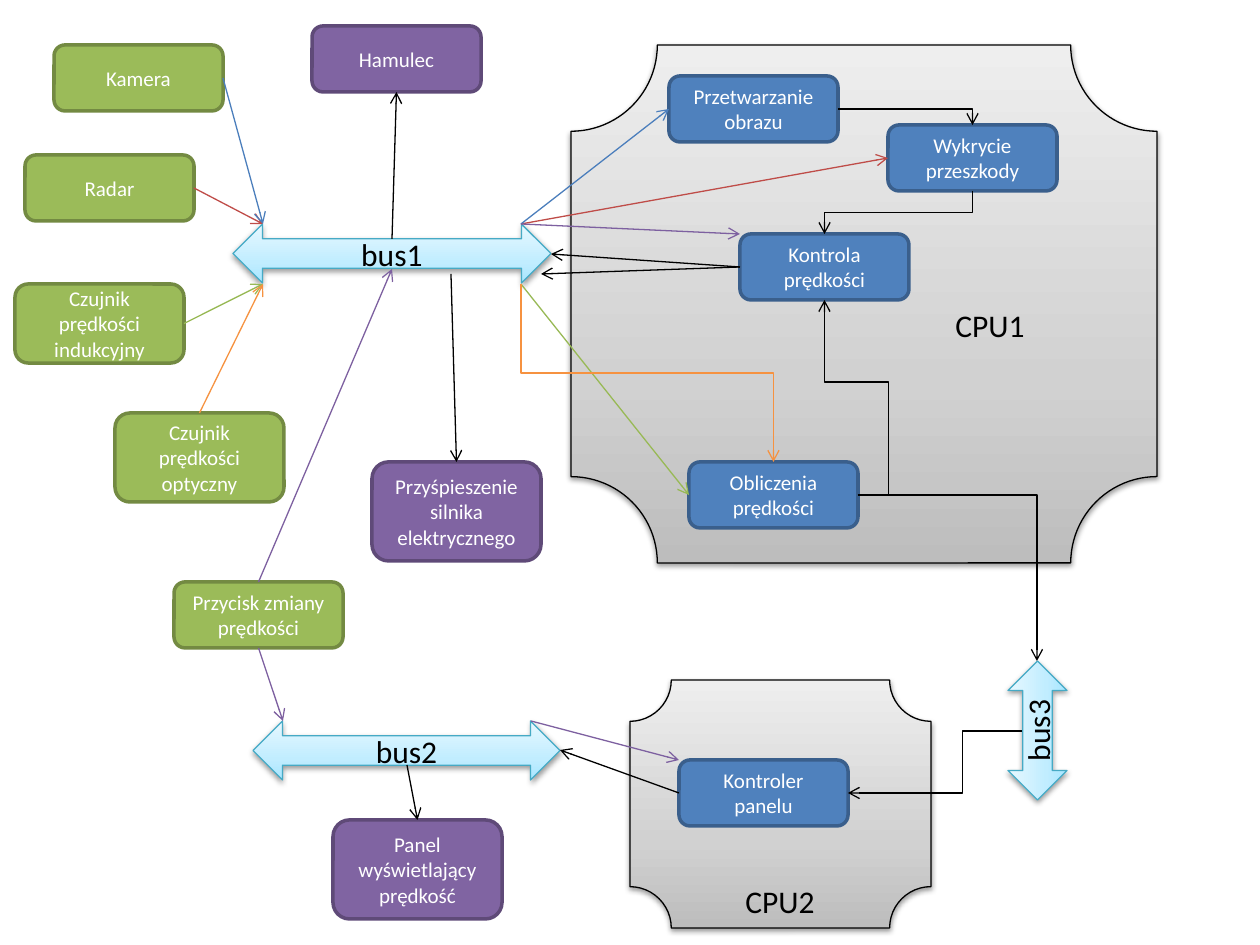
from lxml import etree
from pptx import Presentation
from pptx.dml.color import RGBColor
from pptx.enum.shapes import MSO_CONNECTOR, MSO_SHAPE
from pptx.enum.text import MSO_ANCHOR, PP_ALIGN
from pptx.oxml import parse_xml
from pptx.oxml.ns import nsdecls, qn
from pptx.util import Emu, Pt

ROUND, PLAQUE, ARROW = MSO_SHAPE.ROUNDED_RECTANGLE, MSO_SHAPE.PLAQUE, MSO_SHAPE.LEFT_RIGHT_ARROW
STRAIGHT, ELBOW = MSO_CONNECTOR.STRAIGHT, MSO_CONNECTOR.ELBOW
MIDDLE, CENTER = MSO_ANCHOR.MIDDLE, PP_ALIGN.CENTER
TOP, LEFT, BOTTOM, RIGHT = range(4)

FONT = "Calibri"
BOX_W, BOX_H, BUS_H = 169, 66, 59
COLORS = {
    "white": "FFFFFF", "black": "000000", "bus_line": "46AAC5",
    "sensor": "9BBB59", "sensor_line": "738A42",
    "task": "4F81BD", "task_line": "3A5F8C",
    "output": "8064A2", "output_line": "5F4A78",
    "red": "BF4C48", "blue": "4B7EBC", "green": "98B955",
    "orange": "F69240", "purple": "7D60A0",
}
GRADIENTS = {
    "cpu": ((0, "BDBDBD"), (35, "D1D1D1"), (100, "EEEEEE")),
    "bus": ((0, "A7E6FF"), (35, "C1EDFF"), (100, "E7F8FF")),
}

# name: (left, top, height, kind, text)
BOXES = {
    "induction": (15, 284, 79, "sensor", "Czujnik prędkości indukcyjny"),
    "camera": (54, 45, BOX_H, "sensor", "Kamera"),
    "radar": (25, 155, BOX_H, "sensor", "Radar"),
    "button": (174, 582, BOX_H, "sensor", "Przycisk zmiany prędkości"),
    "obstacle": (888, 125, BOX_H, "task", "Wykrycie przeszkody"),
    "control": (740, 234, BOX_H, "task", "Kontrola prędkości"),
    "brake": (312, 26, BOX_H, "output", "Hamulec"),
    "engine": (372, 462, 99, "output", "Przyśpieszenie silnika elektrycznego"),
    "display": (333, 820, 99, "output", "Panel wyświetlający prędkość"),
    "speed": (689, 462, BOX_H, "task", "Obliczenia prędkości"),
    "optical": (115, 413, 89, "sensor", "Czujnik prędkości optyczny"),
    "image": (669, 76, BOX_H, "task", "Przetwarzanie obrazu"),
    "panel": (679, 760, BOX_H, "task", "Kontroler panelu"),
}

# Corners of the bus1 arrowheads
BUS1_NW, BUS1_NE, BUS1_SW, BUS1_SE = (263, 224), (521, 224), (263, 284), (521, 284)

# Each end is a point or a (box, side) pair
LINKS = [
    (("radar", RIGHT), BUS1_NW, "red"),
    (BUS1_NE, ("obstacle", LEFT), "red"),
    (("camera", RIGHT), BUS1_NW, "blue"),
    (BUS1_NE, ("image", LEFT), "blue"),
    (("control", LEFT), (541, 274), "black"),
    (("induction", RIGHT), BUS1_SW, "green"),
    (("optical", TOP), BUS1_SW, "orange"),
    (("control", LEFT), (551, 254), "black"),
    ((392, 239), ("brake", BOTTOM), "black"),
    ((451, 274), ("engine", TOP), "black"),
    (("button", TOP), (392, 269), "purple"),
    (BUS1_NE, (740, 234), "purple"),
    (("button", BOTTOM), (283, 721), "purple"),
    ((407, 765), ("display", TOP), "black"),
    (("panel", LEFT), (560, 750), "black"),
    ((531, 721), (679, 760), "purple"),
    (BUS1_SE, ("speed", LEFT), "green"),
]
# start, end, colour, preset number, leaves vertically, adjustments
BENT_LINKS = [
    (("image", RIGHT), ("obstacle", TOP), "black", 2, False, ()),
    (("obstacle", BOTTOM), ("control", TOP), "black", 3, True, (0.5,)),
    (("speed", RIGHT), ("control", BOTTOM), "black", 4, False, (-0.91, 0.58)),
    (("speed", RIGHT), (1037, 661), "black", 2, False, ()),
    ((1022, 731), ("panel", RIGHT), "black", 3, False, (0.34,)),
    (BUS1_SE, ("speed", TOP), "orange", 3, True, (0.5,)),
]


def px(n):
    return Emu(round(n * 914400 / 126))


def rgb(name):
    return RGBColor.from_string(COLORS[name])


def write(sp, text, size, color):
    tf = sp.text_frame
    tf.word_wrap = True
    tf.vertical_anchor = MIDDLE
    p = tf.paragraphs[0]
    p.alignment = CENTER
    r = p.add_run()
    r.text = text
    r.font.name, r.font.size = FONT, Pt(size)
    r.font.color.rgb = rgb(color)


def add_outlined(s, preset, left, top, width, height, line, weight):
    sp = s.shapes.add_shape(preset, px(left), px(top), px(width), px(height))
    sp.shadow.inherit = False
    sp.line.color.rgb = rgb(line)
    sp.line.width = Pt(weight)
    return sp


def add_box(s, left, top, height, kind, text):
    sp = add_outlined(s, ROUND, left, top, BOX_W, height, kind + "_line", 2)
    sp.fill.solid()
    sp.fill.fore_color.rgb = rgb(kind)
    write(sp, text, 12, "white")
    return sp


def add_shaded(s, preset, left, top, width, height, gradient, line):
    sp = add_outlined(s, preset, left, top, width, height, line, 0.75)
    sp.fill.gradient()
    sp.fill.gradient_angle = 90
    stops = sp._element.spPr.find(".//" + qn("a:gsLst"))
    for gs in list(stops):
        stops.remove(gs)
    for pos, color in GRADIENTS[gradient]:
        gs = etree.SubElement(stops, qn("a:gs"), pos=str(pos * 1000))
        etree.SubElement(gs, qn("a:srgbClr"), val=color)
    sp._element.spPr.find(qn("a:effectLst")).append(parse_xml(
        f'<a:outerShdw {nsdecls("a")} blurRad="40000" dist="20000" dir="5400000" rotWithShape="0">'
        '<a:srgbClr val="000000"><a:alpha val="38000"/></a:srgbClr></a:outerShdw>'))
    return sp


def add_cpu(s, left, top, width, height, text, label_x, label_y):
    add_shaded(s, PLAQUE, left, top, width, height, "cpu", "black")
    label = s.shapes.add_textbox(px(label_x - 60), px(label_y - 25), px(120), px(50))
    write(label, text, 18, "black")


def add_bus(s, left, top, width, text, rotation=0):
    sp = add_shaded(s, ARROW, left, top, width, BUS_H, "bus", "bus_line")
    sp.rotation = rotation
    write(sp, text, 18, "black")


def locate(end):
    if end[0] not in BOXES:
        return end
    name, side = end
    left, top, height = BOXES[name][:3]
    return {TOP: (left + BOX_W / 2, top), LEFT: (left, top + height / 2),
            BOTTOM: (left + BOX_W / 2, top + height),
            RIGHT: (left + BOX_W, top + height / 2)}[side]


def add_link(s, start, end, color, kind=STRAIGHT):
    c = s.shapes.add_connector(kind, *map(px, locate(start) + locate(end)))
    c.line.color.rgb = rgb(color)
    c.line.width = Pt(0.75)
    etree.SubElement(c.line._get_or_add_ln(), qn("a:tailEnd"), type="arrow")
    etree.SubElement(c._element.spPr, qn("a:effectLst"))
    return c


def join(c, start, end, boxes):
    if start[0] in boxes:
        c.begin_connect(boxes[start[0]], start[1])
    if end[0] in boxes:
        c.end_connect(boxes[end[0]], end[1])


def add_bent_link(s, start, end, color, number, vertical, adjustments):
    c = add_link(s, start, end, color, ELBOW)
    geom = c._element.spPr.find(qn("a:prstGeom"))
    geom.set("prst", f"bentConnector{number}")
    guides = geom.find(qn("a:avLst"))
    if guides is None:
        guides = etree.SubElement(geom, qn("a:avLst"))
    for i, value in enumerate(adjustments, 1):
        etree.SubElement(guides, qn("a:gd"), name=f"adj{i}", fmla=f"val {round(value * 100000)}")
    if vertical:  # turn the frame a quarter about its centre
        (x1, y1), (x2, y2) = locate(start), locate(end)
        w, h = abs(y2 - y1), abs(x2 - x1)
        c.left, c.top = px((x1 + x2 - w) / 2), px((y1 + y2 - h) / 2)
        c.width, c.height = px(w), px(h)
        xfrm = c._element.spPr.find(qn("a:xfrm"))
        xfrm.set("rot", "16200000" if x2 > x1 else "5400000")
        xfrm.set("flipH", "1" if x2 > x1 else "0")


def main():
    prs = Presentation()
    prs.slide_width, prs.slide_height = px(1260), px(945)
    s = prs.slides.add_slide(prs.slide_layouts[6])

    # Processors and buses
    add_cpu(s, 571, 45, 586, 518, "CPU1", 990, 325)
    add_cpu(s, 630, 680, 301, 248, "CPU2", 780, 901)
    add_bus(s, 233, 224, 318, "bus1")
    add_bus(s, 253, 721, 307, "bus2")
    add_bus(s, 968, 701, 139, "bus3", 270)

    # Sensors, tasks and outputs
    boxes = {name: add_box(s, *box) for name, box in BOXES.items()}

    # Data flow
    for start, end, color in LINKS:
        join(add_link(s, start, end, color), start, end, boxes)
    for link in BENT_LINKS:
        add_bent_link(s, *link)
    prs.save("out.pptx")


if __name__ == "__main__":
    main()
